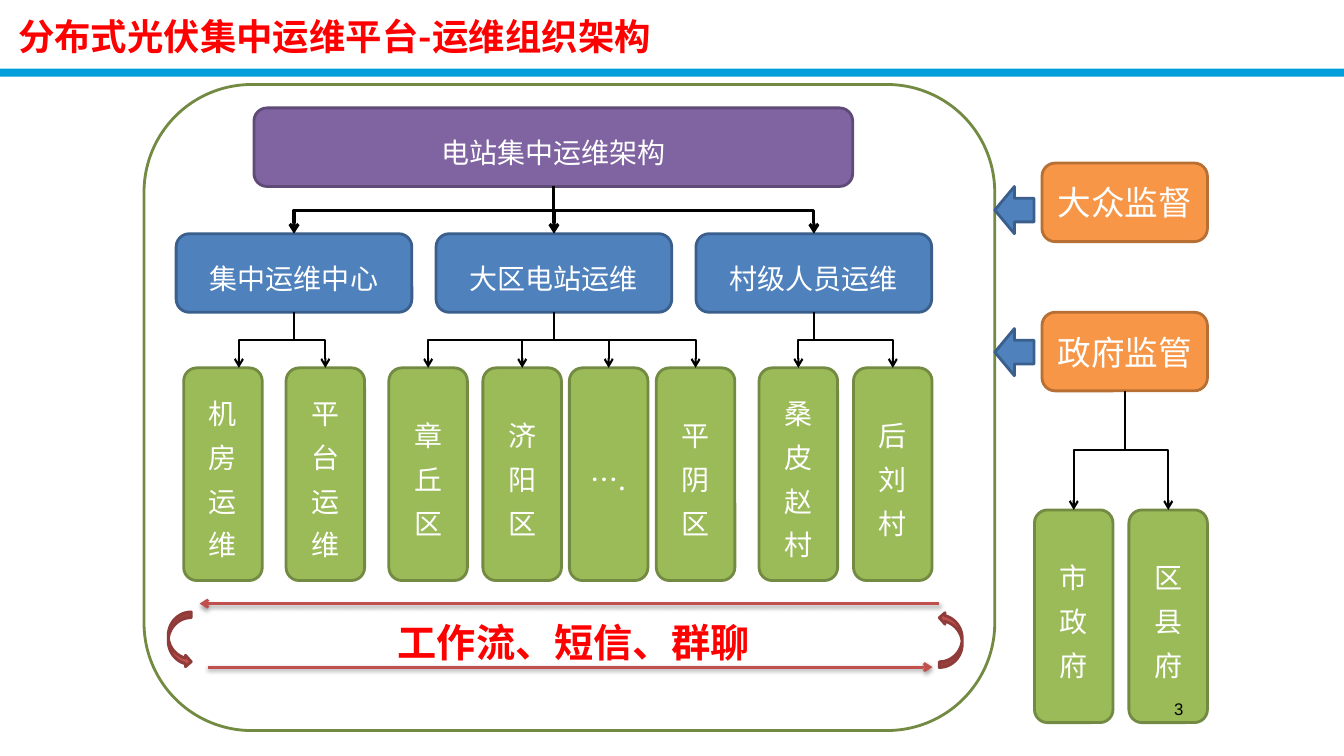
from lxml import etree
from pptx import Presentation
from pptx.dml.color import RGBColor
from pptx.enum.shapes import MSO_CONNECTOR, MSO_SHAPE
from pptx.enum.text import MSO_ANCHOR, MSO_AUTO_SIZE, PP_ALIGN
from pptx.oxml.ns import qn
from pptx.util import Cm, Pt

ROUNDED, RECTANGLE = MSO_SHAPE.ROUNDED_RECTANGLE, MSO_SHAPE.RECTANGLE
LEFT_ARROW, CURVED_ARROW = MSO_SHAPE.LEFT_ARROW, MSO_SHAPE.CURVED_RIGHT_ARROW
STRAIGHT, ELBOW = MSO_CONNECTOR.STRAIGHT, MSO_CONNECTOR.ELBOW
LEFT, CENTER = PP_ALIGN.LEFT, PP_ALIGN.CENTER
TOP, MIDDLE = MSO_ANCHOR.TOP, MSO_ANCHOR.MIDDLE
NO_AUTOFIT = MSO_AUTO_SIZE.NONE

WHITE = RGBColor(0xFF, 0xFF, 0xFF)
BLACK = RGBColor(0, 0, 0)
RED = RGBColor(0xFF, 0, 0)
SKY = RGBColor(0x00, 0x9E, 0xDB)
CRIMSON = RGBColor(0xC0, 0x50, 0x4D)
# Fill and outline pairs
ORANGE = (RGBColor(0xF7, 0x96, 0x46), RGBColor(0xB7, 0x6F, 0x34))
PURPLE = (RGBColor(0x80, 0x64, 0xA2), RGBColor(0x5F, 0x4A, 0x78))
BLUE = (RGBColor(0x4F, 0x81, 0xBD), RGBColor(0x3A, 0x5F, 0x8C))
GREEN = (RGBColor(0x9B, 0xBB, 0x59), RGBColor(0x73, 0x8A, 0x42))
BRICK = (CRIMSON, RGBColor(0x8E, 0x3B, 0x39))
OUTLINE = (None, GREEN[1])
BARE = (None, None)

CJK = "Noto Sans CJK SC"
TITLE = "分布式光伏集中运维平台-运维组织架构"
ROOT = "电站集中运维架构"
FLOW = "工作流、短信、群聊"
PAGE_NUMBER = "3"

# Branch name, then its leaves: name, left edge, shift of the arrow tip from the leaf's middle
BRANCHES = [
    ("集中运维中心", [("机房运维", 4.63, 0.4), ("平台运维", 7.21, 0)]),
    ("大区电站运维", [("章丘区", 9.8, 0), ("济阳区", 12.17, 0),
                ("….", 14.35, 0), ("平阴区", 16.54, 0)]),
    ("村级人员运维", [("桑皮赵\n村", 19.13, 0), ("后刘\n村", 21.51, 0)]),
]
# Overseer name, top edge, top edge of its arrow, leaves
OVERSEERS = [
    ("大众监督", 4.11, 4.7, []),
    ("政府监管", 7.87, 8.28, [("市政府", 26.07, 0), ("区县府", 28.45, 0)]),
]

PAGE_W, PAGE_H = 33.87, 19.05
BOX_H = 1.98
ROOT_LEFT, ROOT_TOP, ROOT_W = 6.4, 2.72, 15.09
BRANCH_LEFT, BRANCH_TOP, BRANCH_W, BRANCH_PITCH = 4.44, 5.89, 5.94, 6.55
LEAF_TOP, OVERSEER_LEAF_TOP, LEAF_W, LEAF_H = 9.27, 12.85, 1.98, 5.36
OVERSEER_LEFT, OVERSEER_W = 26.26, 4.17
FRAME = (3.63, 2.13, 21.44, 16.28)
FRAME_RIGHT = FRAME[0] + FRAME[2]
FLOW_BOX = (5.23, 15.01, 18.47, BOX_H)
FLOW_LINES = [(23.67, 5.03, 15.21), (5.23, 23.5, 16.81)]  # from x, to x, y
FLOW_TURNS = [(4.24, 0), (23.67, 180)]  # left edge, rotation


def write(frame, text, size, color, font=CJK, bold=False, align=CENTER, spacing=1.0):
    for index, line in enumerate(text.split("\n")):
        para = frame.add_paragraph() if index else frame.paragraphs[0]
        para.alignment = align
        para.line_spacing = spacing
        span = para.add_run()
        span.text = line
        span.font.size = Pt(size)
        span.font.bold = bold
        span.font.name = font
        span.font.color.rgb = color
        east_asian = etree.Element(qn("a:ea"), typeface=font)
        span.font._element.find(qn("a:latin")).addnext(east_asian)


def add_box(slide, kind, place, colors, text="", size=20, color=WHITE, **style):
    box = slide.shapes.add_shape(kind, *[Cm(length) for length in place])
    box.shadow.inherit = False
    fill, line = colors
    if fill is None:
        box.fill.background()
    else:
        box.fill.solid()
        box.fill.fore_color.rgb = fill
    if line is None:
        box.line.fill.background()
    else:
        box.line.color.rgb = line
        box.line.width = Pt(2)
    if text:
        box.text_frame.word_wrap = True
        box.text_frame.vertical_anchor = MIDDLE
        write(box.text_frame, text, size, color, **style)
    return box


def add_arrow(slide, kind, start, end, color, width):
    """Add an arrow and return it with its effect list, which is empty."""
    arrow = slide.shapes.add_connector(kind, *[Cm(length) for length in start + end])
    arrow.line.color.rgb = color
    arrow.line.width = Pt(width)
    etree.SubElement(arrow.line._get_or_add_ln(), qn("a:tailEnd"), type="arrow")
    effects = etree.SubElement(arrow._element.spPr, qn("a:effectLst"))
    return arrow, effects


def add_drop(slide, start, end, width):
    """Add an elbow arrow that leaves downwards: a level elbow given a quarter turn."""
    (x1, y1), (x2, y2) = start, end
    middle_x, middle_y = (x1 + x2) / 2, (y1 + y2) / 2
    half_w, half_h = (y2 - y1) / 2, abs(x2 - x1) / 2
    rightward = x2 > x1
    side = -1 if rightward else 1
    arrow, _ = add_arrow(slide, ELBOW,
                         (middle_x - side * half_w, middle_y - half_h),
                         (middle_x + side * half_w, middle_y + half_h), BLACK, width)
    turn = 270 if rightward else 90
    arrow._element.spPr.find(qn("a:xfrm")).set("rot", str(turn * 60000))


def add_leaves(slide, leaves, top, parent_x, parent_bottom):
    for name, left, shift in leaves:
        add_box(slide, ROUNDED, (left, top, LEAF_W, LEAF_H), GREEN, name, spacing=1.3)
        add_drop(slide, (parent_x, parent_bottom), (left + LEAF_W / 2 + shift, top), 1.5)


def add_header(slide):
    add_box(slide, RECTANGLE, (0, 1.73, PAGE_W, 0.2), (SKY, None))
    title = slide.shapes.title
    title.left, title.top, title.width, title.height = Cm(0.2), Cm(0.2), Cm(30.48), Cm(1.4)
    title.text_frame.auto_size = NO_AUTOFIT
    title.text_frame.vertical_anchor = MIDDLE
    write(title.text_frame, TITLE, 26, RED, bold=True, align=LEFT)


def add_organisation(slide):
    add_box(slide, ROUNDED, FRAME, OUTLINE)
    add_box(slide, ROUNDED, (ROOT_LEFT, ROOT_TOP, ROOT_W, BOX_H), PURPLE, ROOT, spacing=1.3)
    root_foot = (ROOT_LEFT + ROOT_W / 2, ROOT_TOP + BOX_H)
    for index, (name, leaves) in enumerate(BRANCHES):
        left = BRANCH_LEFT + index * BRANCH_PITCH
        middle = left + BRANCH_W / 2
        add_box(slide, ROUNDED, (left, BRANCH_TOP, BRANCH_W, BOX_H), BLUE, name, spacing=1.3)
        add_drop(slide, root_foot, (middle, BRANCH_TOP), 2.25)
        add_leaves(slide, leaves, LEAF_TOP, middle, BRANCH_TOP + BOX_H)


def add_overseers(slide):
    for name, top, arrow_top, leaves in OVERSEERS:
        add_box(slide, ROUNDED, (OVERSEER_LEFT, top, OVERSEER_W, BOX_H), ORANGE,
                name, 24, font="Calibri")
        add_box(slide, LEFT_ARROW, (FRAME_RIGHT, arrow_top, 0.99, 1.19), BLUE)
        add_leaves(slide, leaves, OVERSEER_LEAF_TOP,
                   OVERSEER_LEFT + OVERSEER_W / 2, top + BOX_H)


def add_workflow(slide):
    add_box(slide, ROUNDED, FLOW_BOX, BARE, FLOW, 28, RED, bold=True, spacing=1.3)
    for start_x, end_x, y in FLOW_LINES:
        _, effects = add_arrow(slide, STRAIGHT, (start_x, y), (end_x, y), CRIMSON, 2)
        shadow = etree.SubElement(effects, qn("a:outerShdw"), blurRad="40000",
                                  dist="20000", dir="5400000", rotWithShape="0")
        tint = etree.SubElement(shadow, qn("a:srgbClr"), val="000000")
        etree.SubElement(tint, qn("a:alpha"), val="38000")
    for left, rotation in FLOW_TURNS:
        turn = add_box(slide, CURVED_ARROW, (left, 15.42, 0.58, 1.4), BRICK)
        turn.rotation = rotation


def main():
    deck = Presentation()
    deck.slide_width, deck.slide_height = Cm(PAGE_W), Cm(PAGE_H)
    slide = deck.slides.add_slide(deck.slide_layouts[5])
    add_header(slide)
    add_organisation(slide)
    add_overseers(slide)
    add_workflow(slide)
    number = slide.shapes.add_textbox(Cm(29.34), Cm(17.48), Cm(0.74), Cm(0.76))
    number.text_frame.vertical_anchor = TOP
    write(number.text_frame, PAGE_NUMBER, 12, BLACK, font="Arial", align=LEFT)
    deck.save("out.pptx")


if __name__ == "__main__":
    main()
